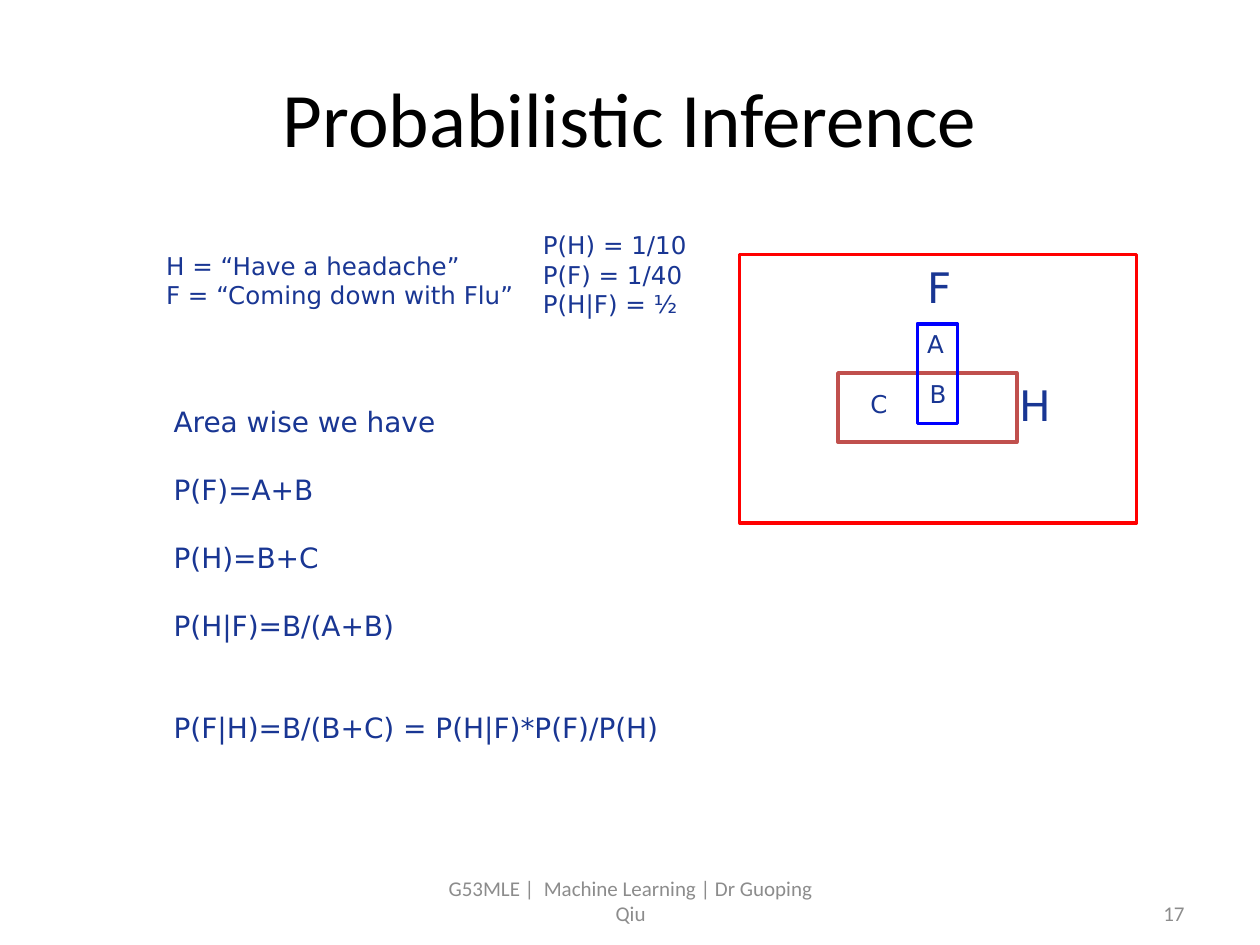
import pptx
import pptx.util
import pptx.dml.color
import pptx.enum.shapes
import pptx.enum.text

Pt = pptx.util.Pt
RGB = pptx.dml.color.RGBColor
ALIGN = pptx.enum.text.PP_ALIGN
ANCHOR = pptx.enum.text.MSO_ANCHOR

BLACK = RGB(0x00, 0x00, 0x00)
GREY = RGB(0x8C, 0x8C, 0x8C)
NAVY = RGB(0x19, 0x36, 0x93)
RED = RGB(0xFF, 0x00, 0x00)
BRICK = RGB(0xC0, 0x50, 0x4D)
BLUE = RGB(0x00, 0x00, 0xFF)
HEAD, BODY = "Calibri", "DejaVu Sans"

# Grid: 100 columns by 75 rows, each cell a tenth of an inch
COLS, ROWS = 100, 75
WIDE, HIGH = pptx.util.Inches(10), pptx.util.Inches(7.5)


def place(col, row, cols, rows):
    """Turn grid cells into slide lengths."""
    return (int(WIDE * col / COLS), int(HIGH * row / ROWS),
            int(WIDE * cols / COLS), int(HIGH * rows / ROWS))


def add_text(slide, cells, lines, size, font=BODY, color=NAVY,
             align=ALIGN.LEFT, anchor=ANCHOR.TOP, wrap=True, gaps=()):
    """Add a text box; gaps holds the space before each line in points."""
    frame = slide.shapes.add_textbox(*place(*cells)).text_frame
    frame.word_wrap = wrap
    frame.vertical_anchor = anchor
    frame.text = "\n".join(lines)
    for para in frame.paragraphs:
        para.alignment = align
        para.font.name = font
        para.font.size = Pt(size)
        para.font.color.rgb = color
    for para, gap in zip(frame.paragraphs, gaps):
        para.space_before = Pt(gap)


def add_frame(slide, cells, color):
    """Add an unfilled rectangle for an event's area."""
    kind = pptx.enum.shapes.MSO_SHAPE.RECTANGLE
    box = slide.shapes.add_shape(kind, *place(*cells))
    box.shadow.inherit = False
    box.fill.background()
    box.line.color.rgb = color
    box.line.width = Pt(2)


def add_venn(slide):
    """Draw the sample space, the two events and their labels."""
    for cells, color in (((58.7, 20.2, 31.5, 21.3), RED),
                         ((66.5, 29.6, 14.2, 5.5), BRICK),
                         ((72.8, 25.7, 3.2, 7.9), BLUE)):
        add_frame(slide, cells, color)

    for name, col, row in (("F", 72.6, 20.3), ("H", 79.9, 29.6)):
        add_text(slide, (col, row, 4.2, 5), [name], 24, wrap=False)
    for name, col, row in (("A", 72.6, 25.6), ("B", 72.8, 29.6),
                           ("C", 68.1, 30.4)):
        add_text(slide, (col, row, 3.4, 3.3), [name], 14, wrap=False)


def main():
    deck = pptx.Presentation()
    deck.slide_width, deck.slide_height = WIDE, HIGH
    slide = deck.slides.add_slide(deck.slide_layouts[6])

    # Title and footer
    add_text(slide, (5, 3, 90, 12.5), ["Probabilistic Inference"], 44,
             HEAD, BLACK, ALIGN.CENTER, ANCHOR.MIDDLE)
    add_text(slide, (34.2, 69.5, 31.7, 4),
             ["G53MLE |  Machine Learning | Dr Guoping Qiu"], 12,
             HEAD, GREY, ALIGN.CENTER, ANCHOR.MIDDLE)
    add_text(slide, (71.7, 70.5, 23.3, 4), ["17"], 12,
             HEAD, GREY, ALIGN.RIGHT, ANCHOR.MIDDLE)

    # Events and their probabilities
    add_text(slide, (12.2, 19.4, 50, 5.7),
             ["H = “Have a headache”", "F = “Coming down with Flu”"], 14)
    add_text(slide, (42.1, 17.8, 18.9, 8),
             ["P(H) = 1/10", "P(F) = 1/40", "P(H|F) = ½"], 14)

    # Area diagram
    add_venn(slide)

    # Derivation
    gap = 19.7
    add_text(slide, (12.8, 31.6, 46.7, 27.7),
             ["Area wise we have", "P(F)=A+B", "P(H)=B+C",
              "P(H|F)=B/(A+B)", "P(F|H)=B/(B+C) = P(H|F)*P(F)/P(H)"], 16,
             gaps=(0, gap, gap, gap, 2 * gap))

    deck.save("out.pptx")


main()
